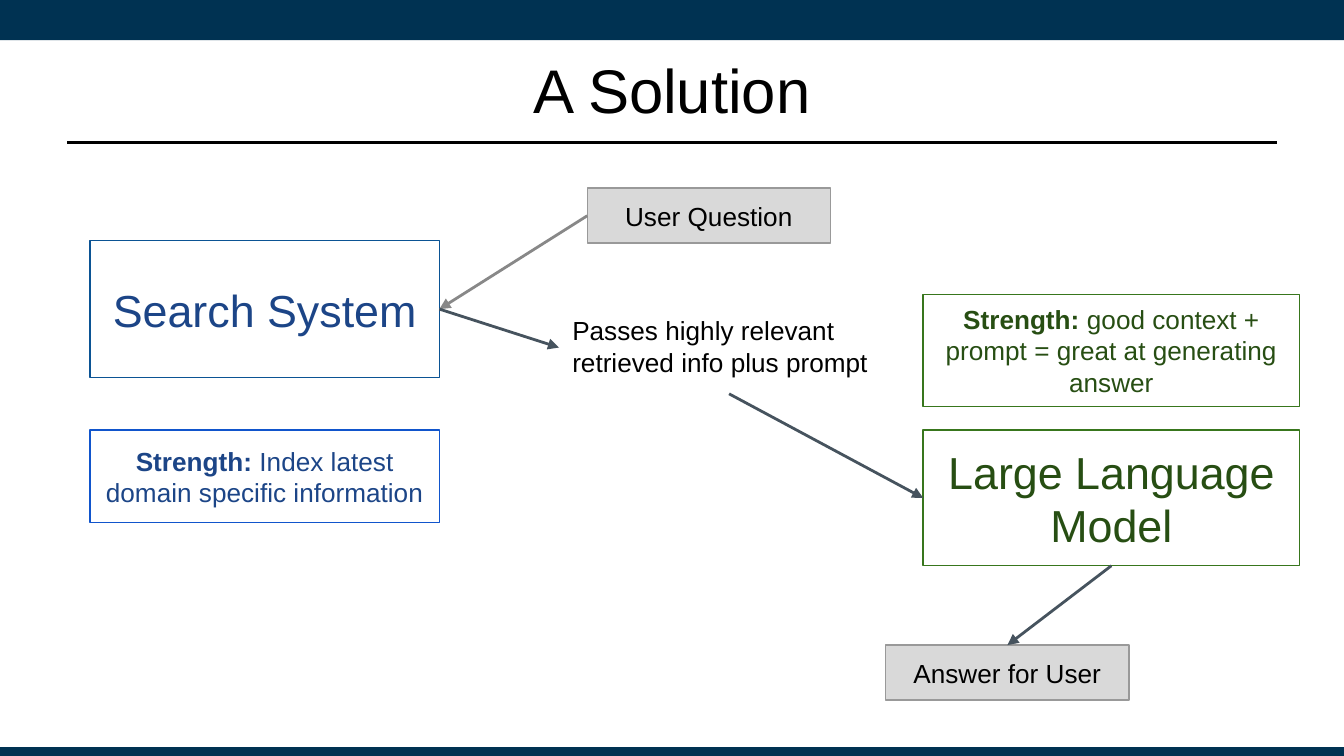
"""Build the "A Solution" slide: a search system feeding a large language model."""
from lxml import etree
from pptx import Presentation
from pptx.dml.color import RGBColor
from pptx.enum.shapes import MSO_CONNECTOR as Connector, MSO_SHAPE as Shape
from pptx.enum.text import MSO_ANCHOR as Anchor, MSO_AUTO_SIZE as AutoSize, PP_ALIGN as Align
from pptx.oxml.ns import qn
from pptx.util import Pt

COLORS = {
    "navy": "003252", "black": "000000", "gray_fill": "D9D9D9", "gray_edge": "999999",
    "gray_arrow": "888888", "slate": "46535E", "blue_edge": "0B5394", "bright_blue": "1155CC",
    "blue_text": "1C4587", "green_edge": "38761D", "green_text": "274E13",
}


def write_text(shape, runs, size, color, align, anchor, margins):
    frame = shape.text_frame
    frame.word_wrap = True
    frame.auto_size = AutoSize.NONE
    frame.vertical_anchor = anchor
    frame.margin_left = frame.margin_right = Pt(margins[0])
    frame.margin_top = frame.margin_bottom = Pt(margins[1])
    para = frame.paragraphs[0]
    para.alignment = align
    for text, bold in runs:
        span = para.add_run()
        span.text = text
        span.font.name = "Arial"
        span.font.size = Pt(size)
        span.font.bold = bold
        span.font.color.rgb = RGBColor.from_string(COLORS[color])


def add_line(page, start, end, color, width, arrow=True):
    line = page.shapes.add_connector(Connector.STRAIGHT, *map(Pt, start + end))
    line.line.color.rgb = RGBColor.from_string(COLORS[color])
    line.line.width = Pt(width)
    if arrow:
        etree.SubElement(line.line._get_or_add_ln(), qn("a:tailEnd"), type="triangle")
    etree.SubElement(line._element.spPr, qn("a:effectLst"))


deck = Presentation()
deck.slide_width, deck.slide_height = Pt(720), Pt(405)
page = deck.slides.add_slide(deck.slide_layouts[5])

for top, height in [(0, 21.6), (400.3, 4.7)]:
    band = page.shapes.add_shape(Shape.RECTANGLE, Pt(0), Pt(top), Pt(720), Pt(height))
    band.shadow.inherit = False
    band.fill.solid()
    band.fill.fore_color.rgb = RGBColor.from_string(COLORS["navy"])
    band.line.fill.background()

add_line(page, (36, 76.3), (684, 76.3), "black", 1.25, arrow=False)

title = page.shapes.title
title.left, title.top, title.width, title.height = Pt(36), Pt(13.7), Pt(648), Pt(67.7)
write_text(title, [("A Solution", False)], 33, "black", Align.CENTER, Anchor.MIDDLE, (5, 3))

boxes = [
    ((48.2, 128.9, 187.2, 73.4), [("Search System", False)], 24, "blue_text", "blue_edge", None),
    ((494.6, 230.4, 201.6, 72.7), [("Large Language Model", False)], 24, "green_text", "green_edge", None),
    ((314.6, 100.8, 130.3, 29.5), [("User Question", False)], 14, "black", "gray_edge", "gray_fill"),
    ((474.5, 345.6, 130.3, 29.5), [("Answer for User", False)], 14, "black", "gray_edge", "gray_fill"),
    ((494.6, 157.7, 201.6, 60.1),
     [("Strength:", True), (" good context + prompt = great at generating answer", False)],
     14, "green_text", "green_edge", None),
    ((48.2, 230.4, 187.2, 49.7),
     [("Strength:", True), (" Index latest domain specific information", False)],
     14, "blue_text", "bright_blue", None),
]
for place, runs, size, text_color, edge, fill in boxes:
    box = page.shapes.add_shape(Shape.RECTANGLE, *map(Pt, place))
    box.shadow.inherit = False
    if fill:
        box.fill.solid()
        box.fill.fore_color.rgb = RGBColor.from_string(COLORS[fill])
    else:
        box.fill.background()
    box.line.color.rgb = RGBColor.from_string(COLORS[edge])
    box.line.width = Pt(0.75)
    write_text(box, runs, size, text_color, Align.CENTER, Anchor.MIDDLE, (7.2, 7.2))

handoff = page.shapes.add_textbox(Pt(299.5), Pt(161.3), Pt(182.2), Pt(49.7))
write_text(handoff, [("Passes highly relevant retrieved info plus prompt", False)],
           14, "black", Align.LEFT, Anchor.TOP, (7.2, 7.2))

arrows = [
    ((314.6, 115.6), (235.4, 165.6), "gray_arrow"),
    ((235.4, 165.6), (299.5, 186.2), "slate"),
    ((390.6, 211), (494.6, 266.8), "slate"),
    ((595.4, 303.1), (539.7, 345.6), "slate"),
]
for start, end, color in arrows:
    add_line(page, start, end, color, 1.5)

deck.save("out.pptx")
